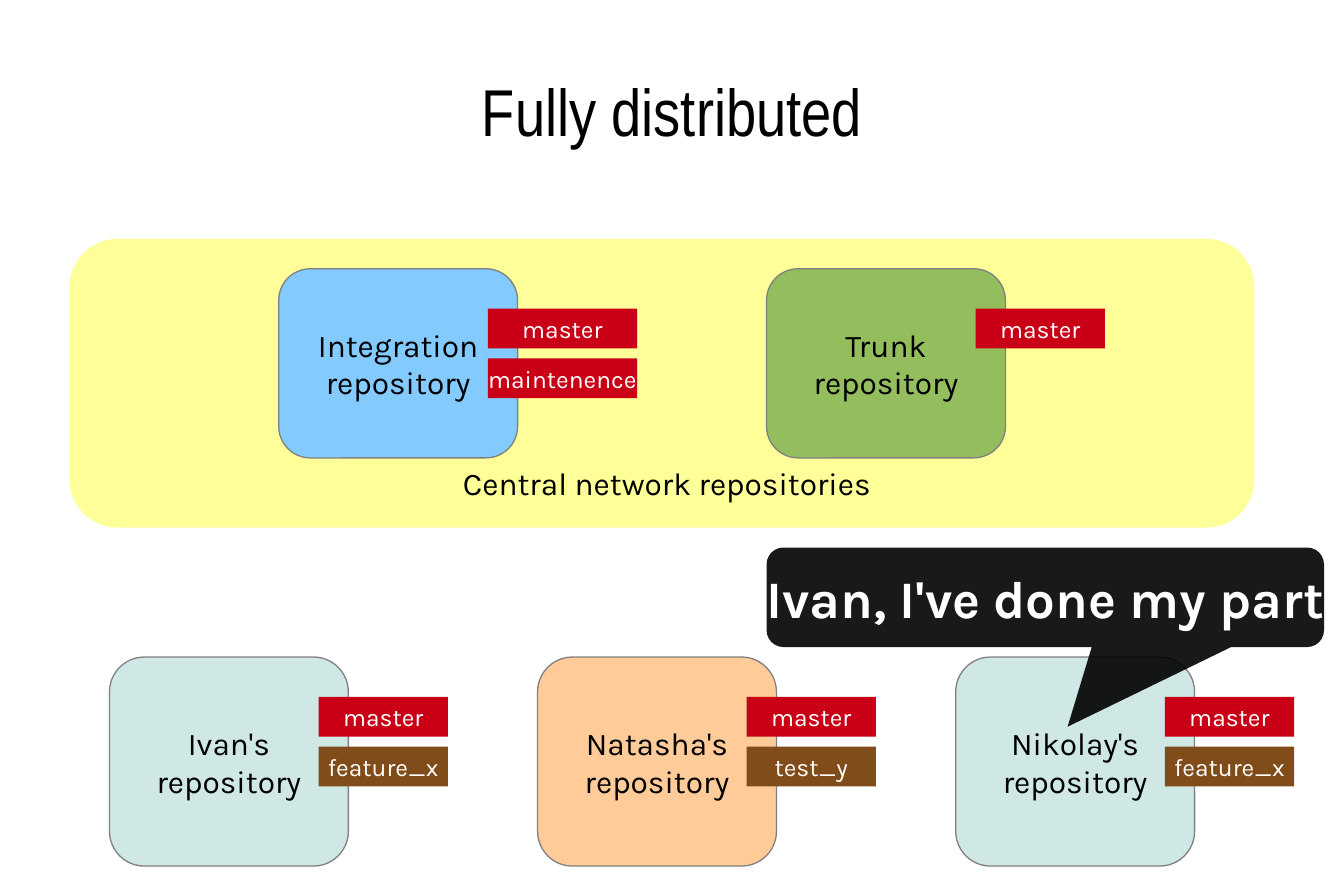
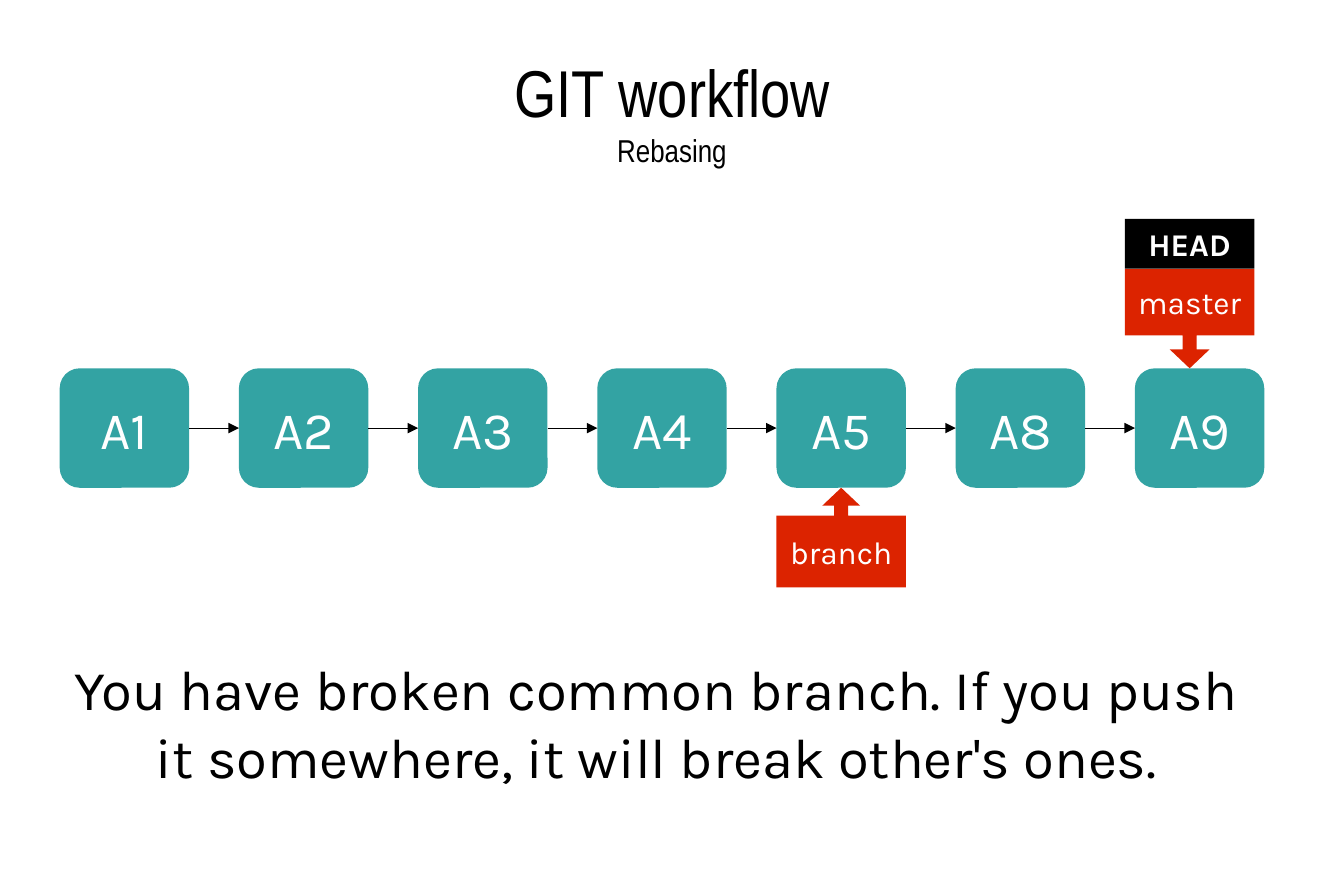
from lxml import etree
from pptx import Presentation
from pptx.dml.color import RGBColor
from pptx.enum.shapes import MSO_CONNECTOR, MSO_SHAPE
from pptx.enum.text import MSO_ANCHOR, PP_ALIGN
from pptx.oxml.ns import qn
from pptx.util import Cm, Pt

RECT = MSO_SHAPE.RECTANGLE
ROUND = MSO_SHAPE.ROUNDED_RECTANGLE
SPEECH = MSO_SHAPE.ROUNDED_RECTANGULAR_CALLOUT
DOWN = MSO_SHAPE.DOWN_ARROW_CALLOUT
UP = MSO_SHAPE.UP_ARROW_CALLOUT
LINE = MSO_CONNECTOR.STRAIGHT
CENTER = PP_ALIGN.CENTER
MIDDLE = MSO_ANCHOR.MIDDLE
TOP = MSO_ANCHOR.TOP

BLACK, WHITE, GRAY = "000000", "FFFFFF", "808080"
YELLOW, BLUE, GREEN = "FFFF99", "83CAFF", "94BD5E"
MINT, PEACH, TEAL = "CFE7E5", "FFCC99", "33A3A3"
RED, BROWN, SCARLET = "C90016", "804C19", "DC2300"


def color(code):
    return RGBColor.from_string(code)


class Deck:
    font = "Karla"
    title_font = "Arial Narrow"

    def __init__(self):
        self.file = Presentation()
        self.file.slide_width = Cm(27)
        self.file.slide_height = Cm(18)
        self.slide = None

    def style(self, frame, size, ink, bold=False, font=None):
        for par in frame.paragraphs:
            par.alignment = CENTER
            for run in par.runs:
                run.font.size = Pt(size)
                run.font.name = font or self.font
                run.font.bold = bold
                run.font.color.rgb = color(ink)

    def page(self, title, sub=None):
        """Start a slide with its title and an optional smaller second line."""
        self.slide = self.file.slides.add_slide(self.file.slide_layouts[6])
        box = self.slide.shapes.add_textbox(Cm(1.35), Cm(0.72), Cm(24.3), Cm(3))
        frame = box.text_frame
        frame.word_wrap = True
        frame.vertical_anchor = MIDDLE
        frame.margin_left = frame.margin_right = 0
        frame.margin_top = frame.margin_bottom = 0
        par = frame.paragraphs[0]
        par.text = f"{title}\n{sub}" if sub else title
        self.style(frame, 37.7, BLACK, font=self.title_font)
        if sub:
            par.runs[-1].font.size = Pt(18)

    def text(self, words, x, y, w, h, size):
        box = self.slide.shapes.add_textbox(Cm(x), Cm(y), Cm(w), Cm(h))
        frame = box.text_frame
        frame.word_wrap = True
        frame.vertical_anchor = TOP
        frame.text = words
        self.style(frame, size, BLACK)

    def shape(self, kind, x, y, w, h, fill, words="", size=18, ink=WHITE,
              bold=False, edge=None, adjust=()):
        item = self.slide.shapes.add_shape(kind, Cm(x), Cm(y), Cm(w), Cm(h))
        item.shadow.inherit = False
        item.fill.solid()
        item.fill.fore_color.rgb = color(fill)
        if edge:
            item.line.color.rgb = color(edge)
            item.line.width = 0
        else:
            item.line.fill.background()
        for place, value in enumerate(adjust):
            item.adjustments[place] = value
        if words:
            frame = item.text_frame
            frame.word_wrap = False
            frame.vertical_anchor = MIDDLE
            frame.text = words
            self.style(frame, size, ink, bold)
        return item

    def repo(self, name, x, y, h, fill):
        self.shape(ROUND, x, y, 4.8, h, fill, f"{name}\nrepository",
                   ink=BLACK, edge=GRAY)

    def tags(self, x, y, w, names):
        """Stack branch tags over the right edge of a repository."""
        for row, (name, fill) in enumerate(names):
            self.shape(RECT, x + 4.2, y + 0.8 + row, w, 0.8, fill, name, 14)

    def fade(self, item, percent):
        paint = item.element.spPr.find(qn("a:solidFill"))[0]
        etree.SubElement(paint, qn("a:alpha"), val=str(percent * 1000))

    def arrow(self, start, end):
        """Join the right side of one shape to the left side of the next."""
        link = self.slide.shapes.add_connector(LINE, 0, 0, 0, 0)
        link.begin_connect(start, 3)
        link.end_connect(end, 1)
        link.line.color.rgb = color(BLACK)
        link.line.width = Pt(0.28)
        props = link.element.spPr
        etree.SubElement(props.find(qn("a:ln")), qn("a:tailEnd"), type="triangle")
        etree.SubElement(props, qn("a:effectLst"))


def shared(deck):
    deck.page("Fully distributed")
    deck.shape(ROUND, 1.4, 4.8, 23.8, 5.8, YELLOW)

    # Repositories: name, left, top, height, fill, tag width, tags
    main = ("master", RED)
    part = ("feature_x", BROWN)
    repos = [
        ("Ivan's", 2.2, 13.2, 4.2, MINT, 2.6, [main, part]),
        ("Natasha's", 10.8, 13.2, 4.2, PEACH, 2.6, [main, ("test_y", BROWN)]),
        ("Nikolay's", 19.2, 13.2, 4.2, MINT, 2.6, [main, part]),
        ("Integration", 5.6, 5.4, 3.8, BLUE, 3, [main, ("maintenence", RED)]),
        ("Trunk", 15.4, 5.4, 3.8, GREEN, 2.6, [main]),
    ]
    for name, x, y, h, fill, width, names in repos:
        deck.repo(name, x, y, h, fill)
        deck.tags(x, y, width, names)
    deck.text("Central network repositories", 2.2, 9.2, 22.4, 1.12, 18)

    # Speech bubble
    bubble = deck.shape(SPEECH, 15.4, 11, 11.2, 2, BLACK,
                        "Ivan, I've done my part", 30, bold=True,
                        adjust=(0.04, 1.3, 0.17))
    deck.fade(bubble, 90)


def rebase(deck):
    deck.page("GIT workflow", "Rebasing")

    # Chain of commits
    names = ["A1", "A2", "A3", "A4", "A5", "A8", "A9"]
    nodes = [deck.shape(ROUND, 1.2 + 3.6 * step, 7.4, 2.6, 2.4, TEAL, name, 30)
             for step, name in enumerate(names)]
    for start, end in zip(nodes, nodes[1:]):
        deck.arrow(start, end)

    # Branch pointers
    deck.shape(DOWN, 22.6, 5.4, 2.6, 2, SCARLET, "master",
               adjust=(0.14, 0.2, 0.19, 0.67))
    deck.shape(RECT, 22.6, 4.4, 2.6, 1, BLACK, "HEAD", bold=True)
    deck.shape(UP, 15.6, 9.8, 2.6, 2, SCARLET, "branch",
               adjust=(0.14, 0.19, 0.18, 0.72))

    # Warning
    deck.text("You have broken common branch. If you push it somewhere, "
              "it will break other's ones.", 1, 13.03, 24.4, 4.85, 32)


def main():
    deck = Deck()
    shared(deck)
    rebase(deck)
    deck.file.save("out.pptx")


if __name__ == "__main__":
    main()
